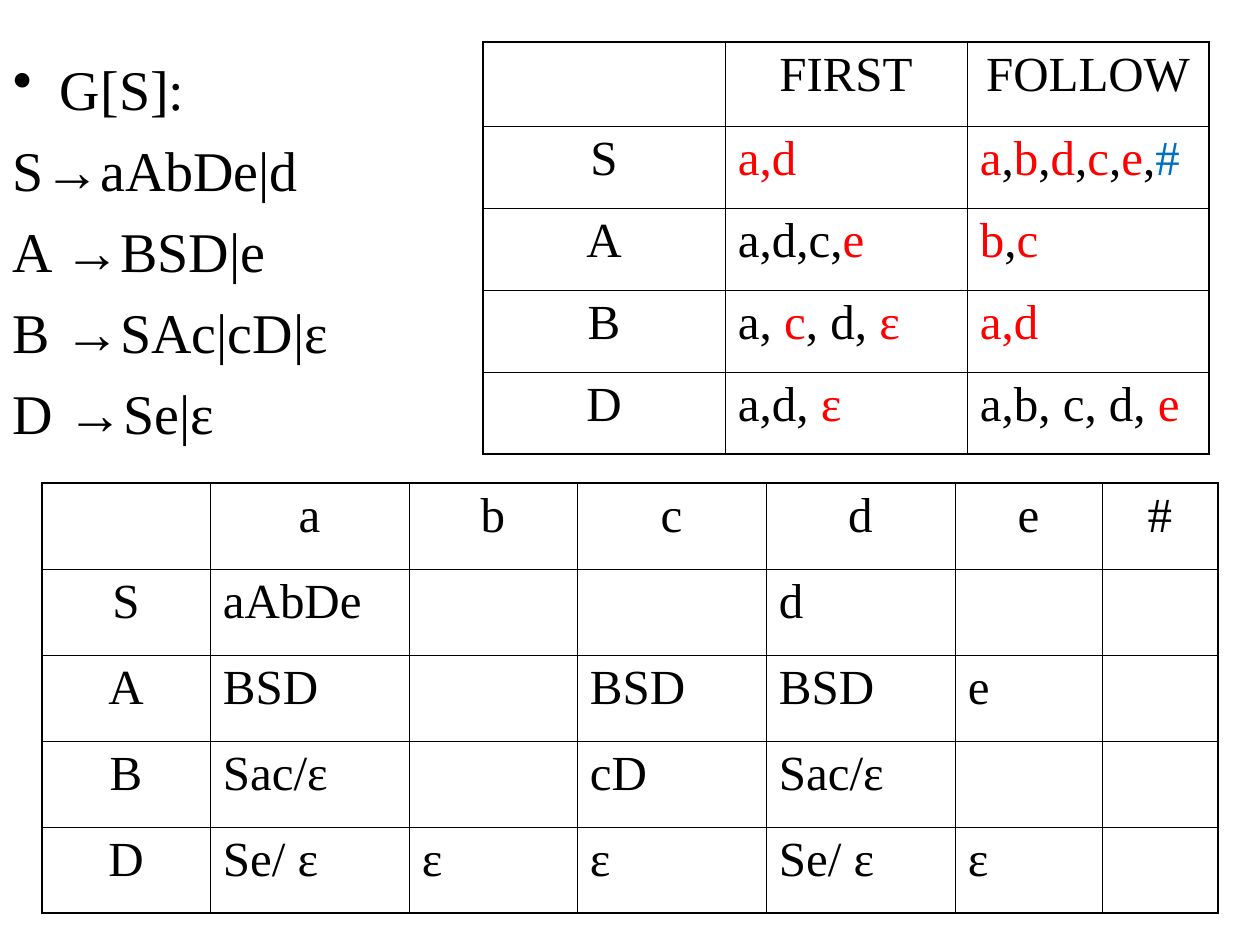
from pptx import Presentation
from pptx.dml.color import RGBColor
from pptx.enum.text import MSO_ANCHOR, PP_ALIGN
from pptx.oxml.xmlchemy import OxmlElement as Element
from pptx.util import Pt

SCALE = 914400 / 126
COLORS = {"black": "000000", "red": "FF0000", "blue": "0070C0"}
FONT = "Times New Roman"
INSET_X, INSET_Y = 13, 6
THICK, THIN = 1.08, 0.45

GRAMMAR = ["G[S]:", "S→aAbDe|d", "A →BSD|e", "B →SAc|cD|ε", "D →Se|ε"]

SETS = [
    ["", "FIRST", "FOLLOW"],
    ["S", [("a,d", "red")],
     [("a", "red"), (",", "black"), ("b", "red"), (",", "black"),
      ("d", "red"), (",", "black"), ("c", "red"), (",", "black"),
      ("e", "red"), (",", "black"), ("#", "blue")]],
    ["A", [("a,d,c,", "black"), ("e", "red")],
     [("b", "red"), (",", "black"), ("c", "red")]],
    ["B", [("a, ", "black"), ("c", "red"), (", d, ", "black"), ("ε", "red")],
     [("a,d", "red")]],
    ["D", [("a,d, ", "black"), ("ε", "red")],
     [("a,b, c, d, ", "black"), ("e", "red")]],
]

PARSING = [
    ["", "a", "b", "c", "d", "e", "#"],
    ["S", "aAbDe", "", "", "d", "", ""],
    ["A", "BSD", "", "BSD", "BSD", "e", ""],
    ["B", "Sac/ε", "", "cD", "Sac/ε", "", ""],
    ["D", "Se/ ε", "ε", "ε", "Se/ ε", "ε", ""],
]


def px(length):
    return round(length * SCALE)


def apply(target, values):
    for name, value in values.items():
        setattr(target, name, value)


def add_spans(para, content, size):
    spans = [(content, "black")] if isinstance(content, str) else content
    for text, color in spans:
        if text:
            span = para.add_run()
            span.text = text
            apply(span.font, {"name": FONT, "size": Pt(size)})
            span.font.color.rgb = RGBColor.from_string(COLORS[color])


def set_bullet(para, char):
    props = para._p.get_or_add_pPr()
    apply_indent = {"marL": px(47), "indent": -px(47)}
    for name, value in apply_indent.items():
        props.set(name, str(value))
    bullet = Element("a:buChar" if char else "a:buNone")
    if char:
        bullet.set("char", char)
    props.append(bullet)


def set_border(cell, side, width):
    line = Element(f"a:ln{side}")
    line.set("w", str(Pt(width)))
    fill = Element("a:solidFill")
    color = Element("a:srgbClr")
    color.set("val", COLORS["black"])
    fill.append(color)
    line.append(fill)
    cell._tc.get_or_add_tcPr().append(line)


def add_grammar(page, left, top, width, height):
    box = page.shapes.add_textbox(px(left), px(top), px(width), px(height))
    frame = box.text_frame
    apply(frame, {
        "word_wrap": True, "vertical_anchor": MSO_ANCHOR.TOP,
        "margin_left": px(INSET_X), "margin_right": px(INSET_X),
        "margin_top": px(2 * INSET_Y), "margin_bottom": px(INSET_Y),
    })
    for index, rule in enumerate(GRAMMAR):
        para = frame.paragraphs[0] if index == 0 else frame.add_paragraph()
        set_bullet(para, "•" if index == 0 else None)
        if index:
            para.space_before = Pt(8)
        add_spans(para, rule, 32)


def add_grid(page, left, top, widths, heights, rows):
    shape = page.shapes.add_table(
        len(heights), len(widths), px(left), px(top),
        px(sum(widths)), px(sum(heights)))
    table = shape.table
    apply(table, {"first_row": False, "horz_banding": False})
    for column, width in zip(table.columns, widths):
        column.width = px(width)
    for row, height in zip(table.rows, heights):
        row.height = px(height)
    last_row, last_column = len(heights) - 1, len(widths) - 1
    for r, row in enumerate(rows):
        for c, content in enumerate(row):
            cell = table.cell(r, c)
            outer = {"L": c == 0, "R": c == last_column,
                     "T": r == 0, "B": r == last_row}
            for side, is_outer in outer.items():
                set_border(cell, side, THICK if is_outer else THIN)
            cell.fill.background()
            apply(cell, {
                "vertical_anchor": MSO_ANCHOR.TOP,
                "margin_left": px(INSET_X), "margin_right": px(INSET_X),
                "margin_top": px(INSET_Y), "margin_bottom": px(INSET_Y),
            })
            para = cell.text_frame.paragraphs[0]
            heading = r == 0 or c == 0
            para.alignment = PP_ALIGN.CENTER if heading else PP_ALIGN.LEFT
            add_spans(para, content, 28)


def main():
    deck = Presentation()
    apply(deck, {"slide_width": px(1260), "slide_height": px(945)})
    page = deck.slides.add_slide(deck.slide_layouts[6])
    add_grammar(page, 0, 42, 420, 420)
    add_grid(page, 483, 42, [242] * 3, [84] + [82] * 4, SETS)
    add_grid(page, 42, 483, [168, 199, 168, 189, 189, 147, 116],
             [86] * 5, PARSING)
    deck.save("out.pptx")


if __name__ == "__main__":
    main()
